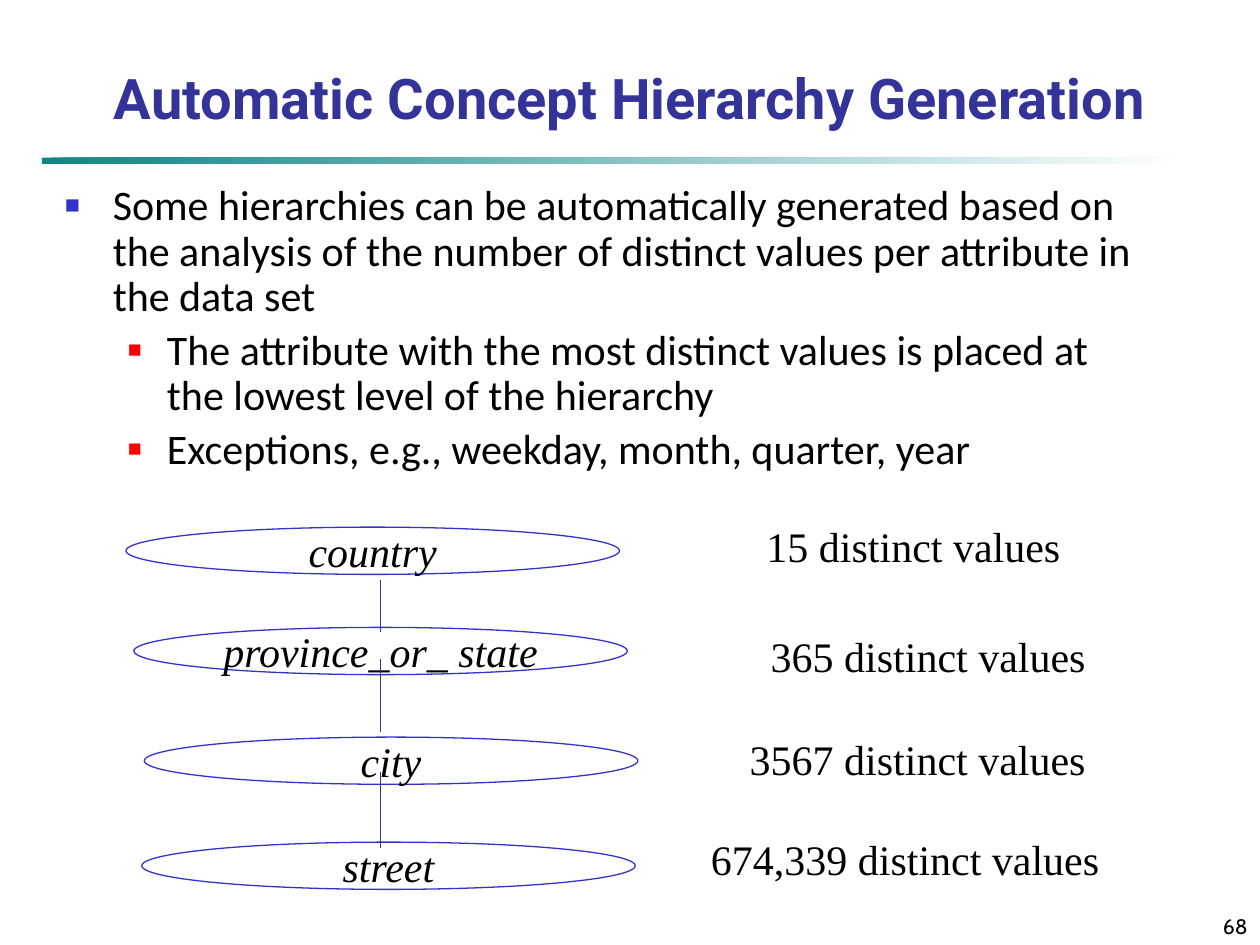
from lxml.etree import SubElement
from pptx import Presentation
from pptx.dml.color import RGBColor
from pptx.enum.shapes import MSO_CONNECTOR, MSO_SHAPE
from pptx.enum.text import MSO_ANCHOR, PP_ALIGN
from pptx.oxml.ns import qn
from pptx.util import Inches, Pt

COLORS = {
    "title": "333399", "text": "000000", "link": "333399", "node": "3333CC",
    "bullet": "3333CC", "subbullet": "FF0000", "rule": "008080", "paper": "FFFFFF",
}
SERIF = "Times New Roman"
BODY = [
    (0, "Some hierarchies can be automatically generated based on the analysis "
        "of the number of distinct values per attribute in the data set"),
    (1, "The attribute with the most distinct values is placed at the lowest level of the hierarchy"),
    (1, "Exceptions, e.g., weekday, month, quarter, year"),
]
BULLETS = [(0.38, 0.38, 60, "bullet"), (0.81, 0.31, 55, "subbullet")]
LEVELS = [
    ("country", (0, 1.2), "15 distinct values", (59.5, 0, 31)),
    ("province_or_ state", (0.75, 10.75), "365 distinct values", (59.9, 10.5, 33)),
    ("city", (1.75, 21.2), "3567 distinct values", (57.7, 20.25, 35.4)),
    ("street", (1.5, 31.2), "674,339 distinct values", (54.2, 29.75, 40)),
]
LINKS = [(6.2, 11.2), (13.8, 20.7), (24.5, 31.8)]


def cells(*values):
    return [Inches(v / 12) for v in values]


def color(name):
    return RGBColor.from_string(COLORS[name])


def style(p, font, size, name="text", align=PP_ALIGN.LEFT, bold=False, italic=False):
    p.alignment = align
    for r in p.runs:
        f = r.font
        f.name, f.size, f.bold, f.italic = font, Pt(size), bold, italic
        f.color.rgb = color(name)


def add_text(slide, box, text, anchor=MSO_ANCHOR.TOP, wrap=True, **look):
    tf = slide.shapes.add_textbox(*cells(*box)).text_frame
    tf.text = text
    tf.word_wrap = wrap
    tf.vertical_anchor = anchor
    style(tf.paragraphs[0], **look)


def add_rule(slide, box):
    sp = slide.shapes.add_shape(MSO_SHAPE.RECTANGLE, *cells(*box))
    sp.shadow.inherit = False
    sp.line.fill.background()
    sp.fill.gradient()
    sp.fill.gradient_angle = 0
    for stop, name, pos in zip(sp.fill.gradient_stops, ("rule", "paper"), (0, 1)):
        stop.color.rgb = color(name)
        stop.position = pos
    for clr in sp.fill._xPr.iter(qn("a:srgbClr")):
        SubElement(clr, qn("a:alpha"), val="95000")


def add_bullet(p, level):
    indent, hang, size, name = BULLETS[level]
    pPr = p._p.get_or_add_pPr()
    pPr.set("marL", str(Inches(indent)))
    pPr.set("indent", str(-Inches(hang)))
    SubElement(SubElement(pPr, qn("a:buClr")), qn("a:srgbClr"), val=COLORS[name])
    SubElement(pPr, qn("a:buSzPct"), val=str(size * 1000))
    SubElement(pPr, qn("a:buFont"), typeface="Arial")
    SubElement(pPr, qn("a:buChar"), char="■")


def add_body(slide, box):
    tf = slide.shapes.add_textbox(*cells(*box)).text_frame
    tf.word_wrap = True
    tf.text = "\n".join(text for _, text in BODY)
    for p, (level, _) in zip(tf.paragraphs, BODY):
        p.level = level
        p.line_spacing = 0.9
        p.space_before = Pt(4.8)
        style(p, "Calibri", 24)
        add_bullet(p, level)


def add_node(slide, box, text):
    sp = slide.shapes.add_shape(MSO_SHAPE.OVAL, *cells(*box))
    sp.shadow.inherit = False
    sp.fill.background()
    sp.line.color.rgb = color("node")
    sp.line.width = Pt(0.75)
    tf = sp.text_frame
    tf.text = text
    tf.word_wrap = False
    tf.vertical_anchor = MSO_ANCHOR.MIDDLE
    style(tf.paragraphs[0], SERIF, 24, align=PP_ALIGN.CENTER, italic=True)


def add_link(slide, x, top, bottom):
    cn = slide.shapes.add_connector(MSO_CONNECTOR.STRAIGHT, *cells(x, top, x, bottom))
    cn.line.color.rgb = color("link")
    cn.line.width = Pt(0.75)
    SubElement(cn._element.spPr, qn("a:effectLst"))


def add_hierarchy(slide, box):
    left, top, width, _ = box
    for name, (x, y), _, _ in LEVELS:
        add_node(slide, (left + x, top + y, width / 2, 4.5), name)
    for start, end in LINKS:
        add_link(slide, left + 24.25, top + start, top + end)
    for _, _, count, (x, y, w) in LEVELS:
        add_text(slide, (left + x, top + y, w, 6), count, wrap=False,
                 font=SERIF, size=24, align=PP_ALIGN.CENTER)


def main():
    prs = Presentation()
    prs.slide_width, prs.slide_height = cells(120, 90)
    slide = prs.slides.add_slide(prs.slide_layouts[6])
    add_rule(slide, (4, 15, 108, 0.6))
    add_text(slide, (95, 85, 25, 5), "68", MSO_ANCHOR.BOTTOM,
             font="Cabin", size=12, align=PP_ALIGN.RIGHT)
    add_text(slide, (0, 4, 120, 9), "Automatic Concept Hierarchy Generation", MSO_ANCHOR.BOTTOM,
             font="Roboto", size=32, name="title", align=PP_ALIGN.CENTER, bold=True)
    add_body(slide, (5, 17, 106, 30))
    add_hierarchy(slide, (12, 49, 94, 36))
    prs.save("out.pptx")


if __name__ == "__main__":
    main()
